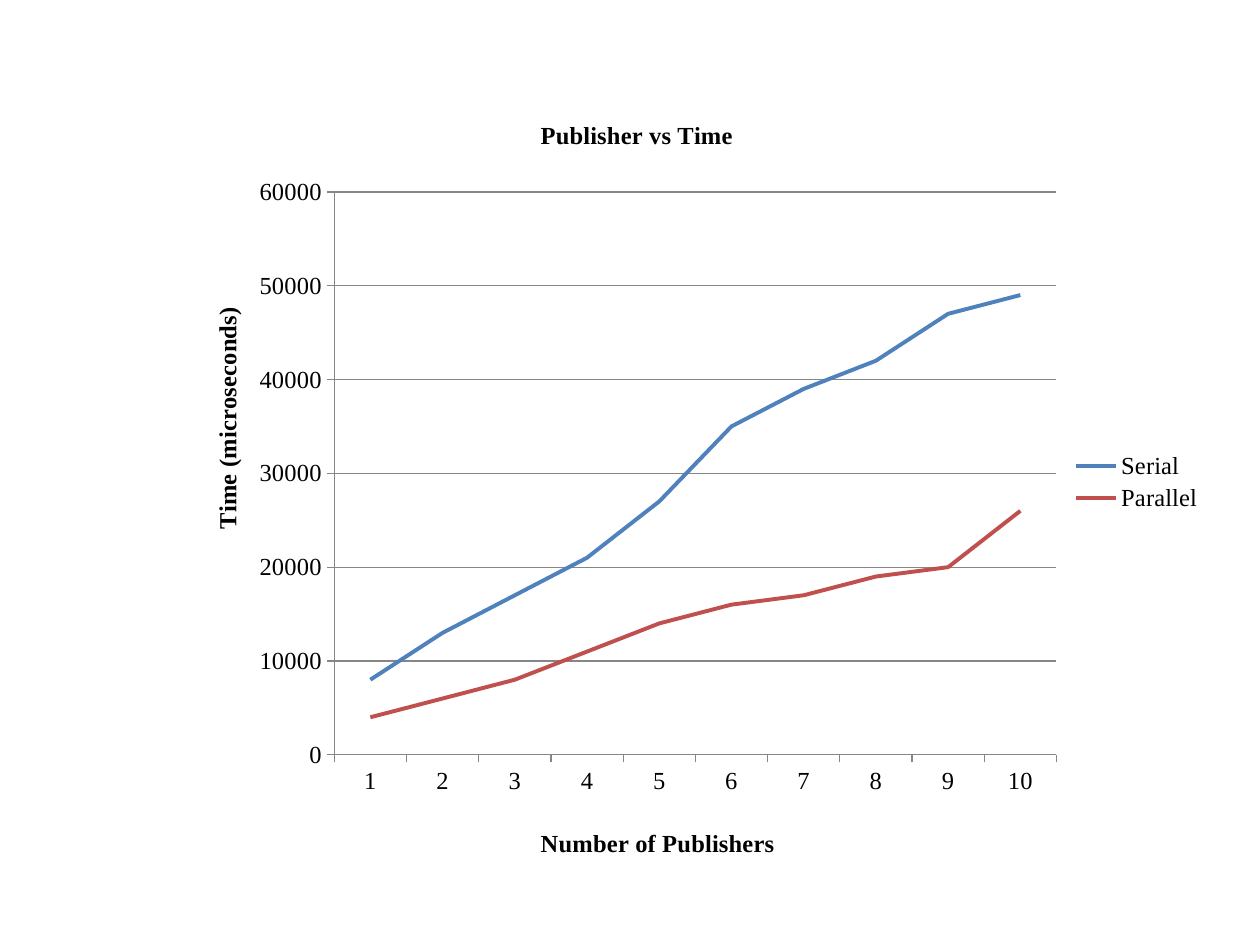
from lxml.etree import SubElement
from pptx import Presentation
from pptx.chart.data import CategoryChartData
from pptx.dml.color import RGBColor
from pptx.enum.chart import XL_CHART_TYPE, XL_LEGEND_POSITION, XL_TICK_MARK
from pptx.oxml.ns import qn
from pptx.util import Inches, Pt

BLACK = RGBColor(0x00, 0x00, 0x00)
GRAY = RGBColor(0x86, 0x86, 0x86)
BLUE = RGBColor(0x4F, 0x81, 0xBD)
RED = RGBColor(0xC0, 0x50, 0x4D)
SERIES = [
    ("Serial", BLUE, [8000, 13000, 17000, 21000, 27000, 35000, 39000, 42000, 47000, 49000]),
    ("Parallel", RED, [4000, 6000, 8000, 11000, 14000, 16000, 17000, 19000, 20000, 26000]),
]


def set_font(font, size=14, bold=False, name="Times New Roman", color=BLACK):
    """Apply one text format to a font."""
    font.size, font.bold, font.name = Pt(size), bold, name
    font.color.rgb = color


def set_layout(parent, index, target=None, **places):
    """Give a chart part a manual layout in fractions of the chart."""
    for old in parent.findall(qn("c:layout")):
        parent.remove(old)
    layout = SubElement(parent, qn("c:layout"))
    parent.insert(index, layout)
    manual = SubElement(layout, qn("c:manualLayout"))
    if target:
        SubElement(manual, qn("c:layoutTarget")).set("val", target)
    for key in ("x", "y"):
        SubElement(manual, qn(f"c:{key}Mode")).set("val", "edge")
    for key, value in places.items():
        SubElement(manual, qn(f"c:{key}")).set("val", str(value))


def set_title(title, text, x, y, **fmt):
    """Write a bold chart or axis title at a fixed place."""
    p = title.text_frame.paragraphs[0]
    r = p.add_run()
    r.text = text
    set_font(r.font, bold=True, **fmt)
    set_layout(title._element, 1, x=x, y=y)


def style_axis(axis, text, x, y):
    """Format an axis with its line, ticks, labels and title."""
    axis.major_tick_mark = XL_TICK_MARK.OUTSIDE
    axis.minor_tick_mark = XL_TICK_MARK.NONE
    axis.format.line.color.rgb = GRAY
    axis.format.line.width = Pt(0.75)
    set_font(axis.tick_labels.font)
    set_title(axis.axis_title, text, x, y)


def add_time_chart(s, left, top, width, height):
    """Draw the line chart of publishers against time in the given box."""
    data = CategoryChartData()
    data.categories = [str(n) for n in range(1, 11)]
    for name, _, values in SERIES:
        data.add_series(name, values)
    chart = s.shapes.add_chart(XL_CHART_TYPE.LINE, left, top, width, height, data).chart
    set_font(chart.font, size=10, name="Calibri")

    chart.has_title = True
    set_title(chart.chart_title, "Publisher vs Time ", 0.36, 0.07)
    style_axis(chart.category_axis, "Number of Publishers", 0.36, 0.9)
    axis = chart.value_axis
    style_axis(axis, "Time (microseconds)", 0.05, 0.29)
    axis.minimum_scale, axis.maximum_scale, axis.major_unit = 0, 60000, 10000
    axis.has_major_gridlines = True
    axis.major_gridlines.format.line.color.rgb = GRAY
    axis.major_gridlines.format.line.width = Pt(0.75)

    chart.has_legend = True
    chart.legend.position = XL_LEGEND_POSITION.RIGHT
    chart.legend.include_in_layout = False
    set_font(chart.legend.font)

    plot = chart.plots[0]
    plot.vary_by_categories = False
    for series, (_, color, _) in zip(plot.series, SERIES):
        series.smooth = False
        series.format.line.color.rgb = color
        series.format.line.width = Pt(2.25)
    plot_area = chart._chartSpace.find(".//" + qn("c:plotArea"))
    set_layout(plot_area, 0, "inner", x=0.17, y=0.16, w=0.68, h=0.66)


def main():
    """Build the slide and save it."""
    prs = Presentation()
    prs.slide_width, prs.slide_height = Inches(10), Inches(7.5)
    s = prs.slides.add_slide(prs.slide_layouts[6])
    add_time_chart(s, Inches(1.22), Inches(0.44), Inches(8.43), Inches(6.77))
    prs.save("out.pptx")


if __name__ == "__main__":
    main()
